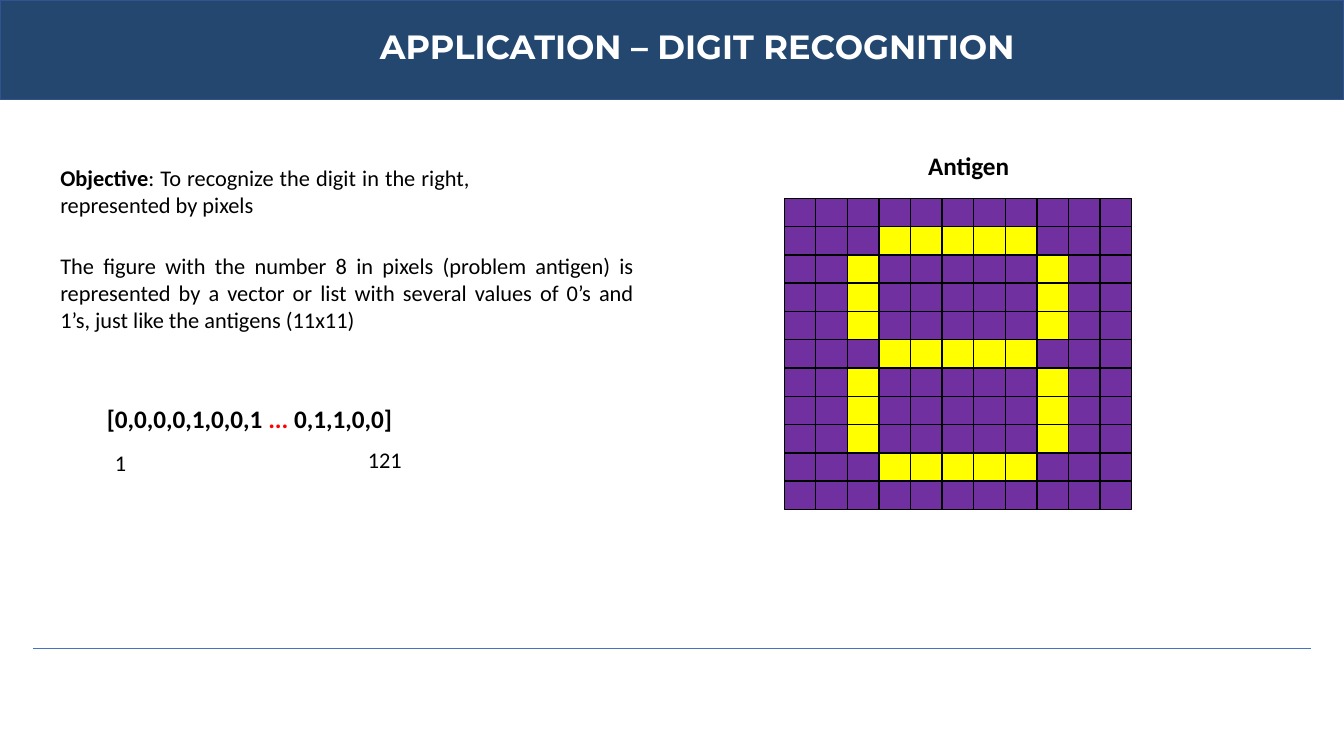
import dataclasses
import pptx
import pptx.util
import pptx.dml.color
import pptx.enum.shapes
import pptx.enum.text
import pptx.oxml

Pt = pptx.util.Pt
Align = pptx.enum.text.PP_ALIGN
Kind = pptx.enum.shapes.MSO_SHAPE


@dataclasses.dataclass(frozen=True)
class Theme:
    band: str = "23476F"
    edge: str = "31538F"
    rule: str = "4472C4"
    off: str = "7030A0"
    on: str = "FFFF00"
    ink: str = "000000"
    white: str = "FFFFFF"
    red: str = "FF0000"
    head: str = "Montserrat"
    font: str = "Calibri"
    title: int = 24
    label: int = 18
    body: int = 16


THEME = Theme()

DIGIT = (
    "...........",
    "...#####...",
    "..#.....#..",
    "..#.....#..",
    "..#.....#..",
    "...#####...",
    "..#.....#..",
    "..#.....#..",
    "..#.....#..",
    "...#####...",
    "...........",
)


def rgb(code):
    return pptx.dml.color.RGBColor.from_string(code)


def add_rect(shapes, left, top, width, height, fill, line):
    rect = shapes.add_shape(Kind.RECTANGLE, Pt(left), Pt(top), Pt(width), Pt(height))
    rect.shadow.inherit = False
    rect.fill.solid()
    rect.fill.fore_color.rgb = rgb(fill)
    rect.line.color.rgb = rgb(line)
    rect.line.width = Pt(1)
    return rect


def add_run(para, text, size, bold=False, color=THEME.ink, face=THEME.font):
    run = para.add_run()
    run.text = text
    run.font.name = face
    run.font.size = Pt(size)
    run.font.bold = bold
    run.font.color.rgb = rgb(color)


def add_text(slide, left, top, width, height, align=Align.LEFT):
    """Add a wrapping text box and return its first paragraph."""
    box = slide.shapes.add_textbox(Pt(left), Pt(top), Pt(width), Pt(height))
    box.text_frame.word_wrap = True
    para = box.text_frame.paragraphs[0]
    para.alignment = align
    return para


def add_head(slide, text):
    """Place the title on a band that spans the slide."""
    title = slide.shapes.title
    band = add_rect(slide.shapes, 0, 0, 960, 71.3, THEME.band, THEME.edge)
    title.element.addprevious(band.element)
    title.left, title.top, title.width, title.height = map(Pt, (200, 15, 596, 36))
    frame = title.text_frame
    frame.auto_size = pptx.enum.text.MSO_AUTO_SIZE.NONE
    frame.vertical_anchor = pptx.enum.text.MSO_ANCHOR.TOP
    para = frame.paragraphs[0]
    para.alignment = Align.CENTER
    add_run(para, text, THEME.title, True, THEME.white, THEME.head)


def add_rule(slide, left, right, top):
    line = slide.shapes.add_connector(
        pptx.enum.shapes.MSO_CONNECTOR.STRAIGHT, Pt(left), Pt(top), Pt(right), Pt(top))
    line.line.color.rgb = rgb(THEME.rule)
    line.line.width = Pt(0.75)
    flat = pptx.oxml.parse_xml(
        '<a:effectLst xmlns:a="http://schemas.openxmlformats.org/drawingml/2006/main"/>')
    line.element.spPr.append(flat)


def add_grid(slide, left, top, width, height, rows):
    """Draw one cell per mark, lit where the mark is #."""
    group = slide.shapes.add_group_shape()
    for row, marks in enumerate(rows):
        for col, mark in enumerate(marks):
            fill = THEME.on if mark == "#" else THEME.off
            add_rect(group.shapes, left + col * width, top + row * height,
                     width, height, fill, THEME.ink)


def main():
    deck = pptx.Presentation()
    deck.slide_width, deck.slide_height = Pt(960), Pt(540)
    slide = deck.slides.add_slide(deck.slide_layouts[5])

    add_head(slide, "APPLICATION – DIGIT RECOGNITION")
    add_rule(slide, 23.8, 936.5, 463)
    add_grid(slide, 560.2, 141.7, 22.56, 20.2, DIGIT)

    label = add_text(slide, 616.3, 103.7, 151.2, 29, Align.CENTER)
    add_run(label, "Antigen", THEME.label, True)

    goal = add_text(slide, 36, 113.8, 306.7, 46, Align.JUSTIFY)
    add_run(goal, "Objective", THEME.body, True)
    add_run(goal, ": To recognize the digit in the right, represented by pixels", THEME.body)

    detail = add_text(slide, 36, 176.4, 424, 65.5, Align.JUSTIFY)
    add_run(detail, "The figure with the number 8 in pixels (problem antigen) is "
            "represented by a vector or list with several values of 0’s and 1’s, "
            "just like the antigens (11x11)", THEME.body)

    vector = add_text(slide, 50.4, 284.4, 255.6, 29.5, Align.CENTER)
    add_run(vector, "[0,0,0,0,1,0,0,1 ", THEME.label, True)
    add_run(vector, "...", THEME.label, True, THEME.red)
    add_run(vector, " 0,1,1,0,0]", THEME.label, True)

    for text, left, top, width in (("1", 74.9, 317.5, 24), ("121", 255.6, 315.4, 48)):
        add_run(add_text(slide, left, top, width, 26.6), text, THEME.body)

    deck.save("out.pptx")


if __name__ == "__main__":
    main()
